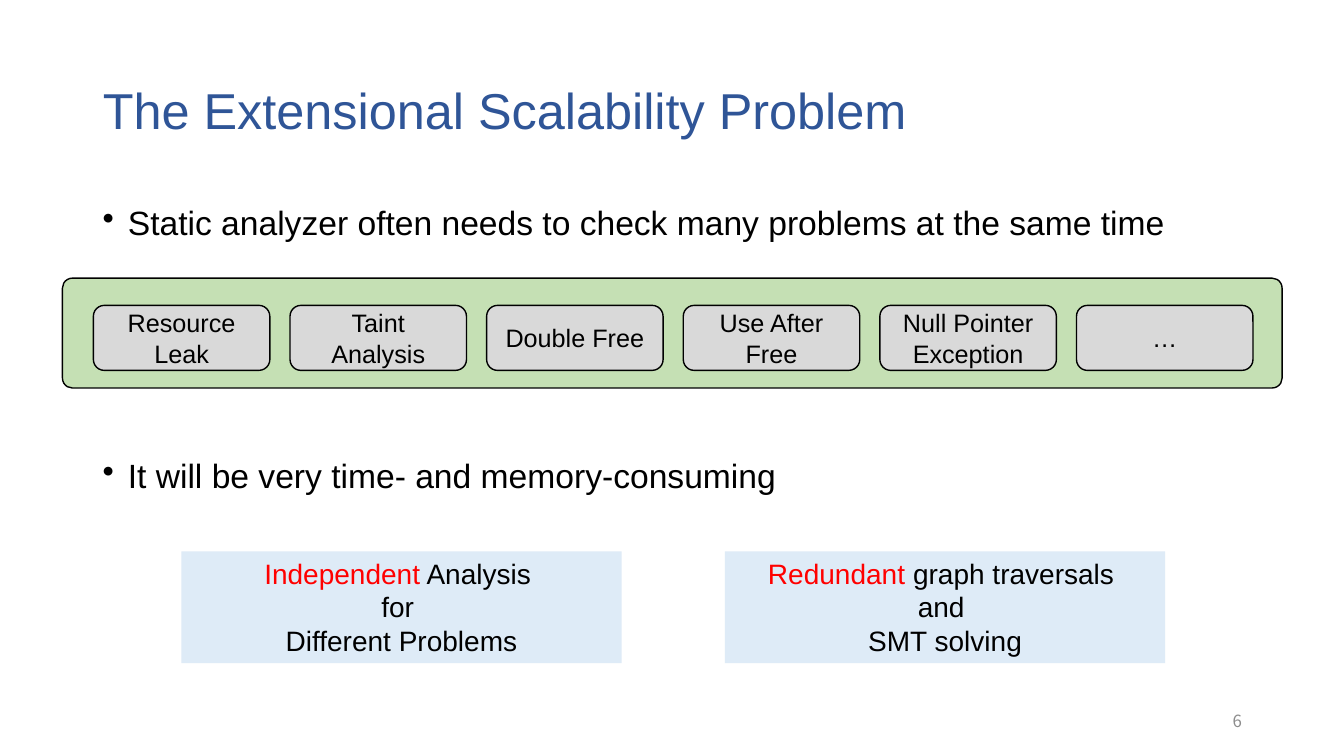
"""Build the slide on the extensional scalability problem of static analysis."""
import dataclasses

import lxml.etree
import pptx
import pptx.dml.color
import pptx.enum.shapes
import pptx.enum.text
import pptx.oxml.ns
import pptx.util


@dataclasses.dataclass(frozen=True)
class Theme:
    font: str = "Arial"
    number_font: str = "Noto Sans CJK SC"
    title_size: int = 36
    bullet_size: int = 24
    panel_size: int = 20
    chip_size: int = 18
    number_size: int = 12
    title: str = "2F5597"
    ink: str = "000000"
    accent: str = "FF0000"
    muted: str = "8C8C8C"
    band: str = "C5E0B4"
    chip: str = "D9D9D9"
    panel: str = "DEEBF7"


theme = Theme()
rgb = pptx.dml.color.RGBColor.from_string
Pt = pptx.util.Pt
qn = pptx.oxml.ns.qn
SHAPE = pptx.enum.shapes.MSO_SHAPE
ALIGN = pptx.enum.text.PP_ALIGN
ANCHOR = pptx.enum.text.MSO_ANCHOR

deck = pptx.Presentation()
deck.slide_width = pptx.util.Inches(13.33)
deck.slide_height = pptx.util.Inches(7.5)
slide = deck.slides.add_slide(deck.slide_layouts[5])


def area(left, top, width, height):
    """Turn percentages of the slide's size into lengths."""
    across, down = deck.slide_width / 100, deck.slide_height / 100
    return [round(n) for n in (left * across, top * down, width * across, height * down)]


def style(paragraph, size, color, align, font=theme.font):
    """Set the alignment and font of a paragraph."""
    paragraph.alignment = align
    paragraph.font.name = font
    paragraph.font.size = Pt(size)
    paragraph.font.color.rgb = rgb(color)


heading = slide.shapes.title
heading.left, heading.top, heading.width, heading.height = area(6.9, 5.33, 86.25, 19.33)
heading.text_frame.text = "The Extensional Scalability Problem"
heading.text_frame.vertical_anchor = ANCHOR.MIDDLE
heading.text_frame.paragraphs[0].line_spacing = 0.9
style(heading.text_frame.paragraphs[0], theme.title_size, theme.title, ALIGN.LEFT)

claims = slide.shapes.add_textbox(*area(6.9, 26.67, 88.3, 47.2)).text_frame
claims.word_wrap = True
claims.text = (
    "Static analyzer often needs to check many problems at the same time\n"
    "It will be very time- and memory-consuming"
)
for claim, gap in zip(claims.paragraphs, (0, 154.5)):
    properties = claim._p.get_or_add_pPr()
    properties.set("marL", str(pptx.util.Inches(0.25)))
    properties.set("indent", str(-pptx.util.Inches(0.25)))
    lxml.etree.SubElement(properties, qn("a:buChar")).set("char", "•")
    claim.line_spacing = 0.9
    claim.space_before = Pt(gap)
    style(claim, theme.bullet_size, theme.ink, ALIGN.LEFT)

band = slide.shapes.add_shape(SHAPE.ROUNDED_RECTANGLE, *area(4.65, 36.8, 90.75, 14.53))
band.adjustments[0] = 0.09
band.shadow.inherit = False
band.fill.solid()
band.fill.fore_color.rgb = rgb(theme.band)
band.line.color.rgb = rgb(theme.ink)
band.line.width = Pt(1)

problems = ["Resource Leak", "Taint Analysis", "Double Free",
            "Use After Free", "Null Pointer Exception", "…"]
for column, problem in enumerate(problems):
    chip = slide.shapes.add_shape(
        SHAPE.ROUNDED_RECTANGLE, *area(6.95 + 14.63 * column, 40.4, 13.13, 8.6))
    chip.shadow.inherit = False
    chip.fill.solid()
    chip.fill.fore_color.rgb = rgb(theme.chip)
    chip.line.color.rgb = rgb(theme.ink)
    chip.line.width = Pt(1)
    chip.text_frame.word_wrap = True
    chip.text_frame.vertical_anchor = ANCHOR.MIDDLE
    chip.text_frame.text = problem
    style(chip.text_frame.paragraphs[0], theme.chip_size, theme.ink, ALIGN.CENTER)

causes = [
    ("Independent", " Analysis ", "for ", "Different Problems"),
    ("Redundant", " graph traversals ", "and ", "SMT solving"),
]
for column, (keyword, *lines) in enumerate(causes):
    panel = slide.shapes.add_shape(
        SHAPE.RECTANGLE, *area(13.5 + 40.44 * column, 72.93, 32.75, 14.8))
    panel.shadow.inherit = False
    panel.fill.solid()
    panel.fill.fore_color.rgb = rgb(theme.panel)
    panel.line.fill.background()
    cause = panel.text_frame
    cause.word_wrap = True
    cause.vertical_anchor = ANCHOR.TOP
    for row, line in enumerate(lines):
        paragraph = cause.add_paragraph() if row else cause.paragraphs[0]
        if row == 0:
            emphasis = paragraph.add_run()
            emphasis.text = keyword
            emphasis.font.color.rgb = rgb(theme.accent)
        paragraph.add_run().text = line
        style(paragraph, theme.panel_size, theme.ink, ALIGN.CENTER)

page = slide.shapes.add_textbox(*area(70.65, 92.67, 22.5, 5.33)).text_frame
page.word_wrap = True
page.vertical_anchor = ANCHOR.MIDDLE
page.text = "6"
style(page.paragraphs[0], theme.number_size, theme.muted, ALIGN.RIGHT, theme.number_font)

deck.save("out.pptx")
